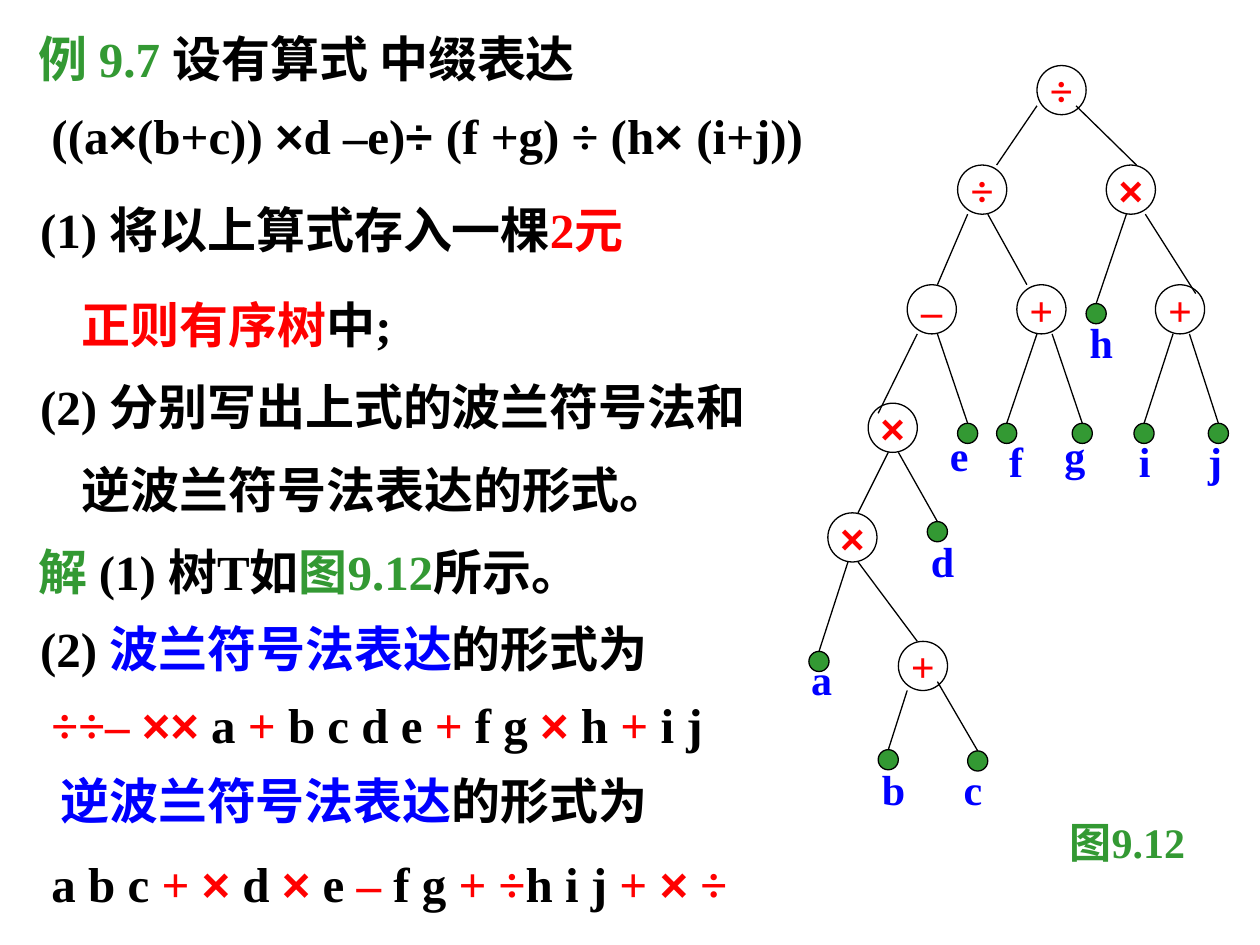
from lxml.etree import SubElement
from pptx import Presentation
from pptx.dml.color import RGBColor
from pptx.enum.shapes import MSO_CONNECTOR as Connector, MSO_SHAPE as Shape
from pptx.enum.text import MSO_ANCHOR as Anchor, MSO_AUTO_SIZE as AutoSize, PP_ALIGN as Align
from pptx.oxml.ns import qn
from pptx.util import Inches, Pt

BLACK = RGBColor(0x00, 0x00, 0x00)
RED = RGBColor(0xFF, 0x00, 0x00)
GREEN = RGBColor(0x33, 0x99, 0x33)
BLUE = RGBColor(0x00, 0x00, 0xFF)
SERIF = "Times New Roman"
SANS = "Arial"
NODE_SIZE = 0.39
LEAF_SIZE = 0.16

EXERCISE = [
    (0.09, 1.1, 0, [("例 9.7 ", GREEN), ("设有算式 中缀表达",)]),
    (0.19, 1.1, 7, [
        ("((a",), ("×", BLACK, SANS), ("(b+c)) ",), ("×", BLACK, SANS), ("d –e)",),
        ("÷ ", BLACK, SANS), ("(f +g) ÷ (h",), ("× ", BLACK, SANS), ("(i+j))",)]),
    (0.1, 1.4, 7, [("(1) 将以上算式存入一棵",), ("2元", RED)]),
    (0.43, 1.4, 7, [("正则有序树", RED), ("中;",)]),
    (0.1, 1.4, 0, [("(2) 分别写出上式的波兰符号法和",)]),
    (0.43, 1.4, 0, [("逆波兰符号法表达的形式。",)]),
    (0.09, 1.4, 0, [("解 ", GREEN), ("(1) 树T如",), ("图9.12", GREEN), ("所示。",)]),
    (0.1, 1.3, 0, [("(2) ",), ("波兰符号法表达", BLUE), ("的形式为",)]),
    (0.19, 1.3, 0, [
        ("÷÷– ", RED), ("××", RED, SANS), (" a ",), ("+", RED), (" b c d e ",),
        ("+", RED), (" f g ",), ("×", RED, SANS), (" h ",), ("+", RED), (" i j",)]),
    (0.26, 1.3, 0, [("逆波兰符号法表达", BLUE), ("的形式为",)]),
    (0.19, 1.4, 0, [
        ("a b c ",), ("+ ", RED), ("×", RED, SANS), (" d ",), ("×", RED, SANS),
        (" e ",), ("– ", RED), ("f g ",), ("+ ÷", RED), ("h i j ",), ("+ ", RED),
        ("×", RED, SANS), (" ÷", RED)]),
]

OPERATORS = [
    ("÷", 8.23, 0.52), ("÷", 7.6, 1.31), ("×", 8.78, 1.31),
    ("–", 7.2, 2.26), ("+", 8.07, 2.26), ("+", 9.17, 2.26),
    ("×", 6.89, 3.2), ("×", 6.57, 4.07), ("+", 7.13, 5.09),
]

BRANCHES = [
    ((8.23, 0.84), (7.91, 1.31)), ((8.54, 0.84), (9.02, 1.31)),
    ((7.68, 1.7), (7.44, 2.26)), ((7.84, 1.7), (8.15, 2.26)),
    ((9.09, 1.7), (9.49, 2.33)), ((7.28, 2.65), (6.97, 3.28)),
    ((7.05, 3.59), (6.81, 4.07)), ((6.81, 4.46), (7.28, 5.09)),
]

LEAVES = [
    ("a", (6.73, 4.46), (6.42, 5.17), (6.34, 5.14), 0.36),
    ("b", (7.2, 5.48), (6.97, 5.95), (6.9, 6.01), 0.38),
    ("c", (7.44, 5.41), (7.68, 5.96), (7.55, 6.01), 0.35),
    ("d", (7.13, 3.59), (7.36, 4.14), (7.29, 4.2), 0.38),
    ("e", (7.44, 2.65), (7.6, 3.36), (7.44, 3.36), 0.35),
    ("f", (8.23, 2.65), (7.91, 3.36), (7.91, 3.41), 0.31),
    ("g", (8.35, 2.65), (8.51, 3.36), (8.35, 3.36), 0.36),
    ("h", (8.94, 1.7), (8.62, 2.41), (8.55, 2.46), 0.38),
    ("i", (9.31, 2.65), (9.0, 3.36), (8.94, 3.41), 0.29),
    ("j", (9.44, 2.65), (9.59, 3.36), (9.49, 3.41), 0.31),
]


def write(paragraph, text, *, color=BLACK, font=SERIF, size=24):
    run = paragraph.add_run()
    run.text = text
    run.font.name = font
    run.font.size = Pt(size)
    run.font.bold = True
    run.font.color.rgb = color


class TreeSlide:
    def __init__(self, slide, line_color=BLACK, line_width=0.75, body_size=28):
        self.slide = slide
        self.line_color = line_color
        self.line_width = Pt(line_width)
        self.body_size = body_size

    def outline(self, line):
        line.color.rgb = self.line_color
        line.width = self.line_width

    def body(self, left, top, width, height, lines):
        frame = self.slide.shapes.add_textbox(
            Inches(left), Inches(top), Inches(width), Inches(height)).text_frame
        frame.word_wrap = True
        for index, (indent, spacing, before, pieces) in enumerate(lines):
            paragraph = frame.add_paragraph() if index else frame.paragraphs[0]
            paragraph.line_spacing = spacing
            paragraph.space_before = Pt(before)
            paragraph._p.get_or_add_pPr().set("marL", str(Inches(indent)))
            for text, *style in pieces:
                write(paragraph, text, size=self.body_size,
                      **dict(zip(("color", "font"), style)))

    def label(self, text, left, top, width, color, wrap=False):
        frame = self.slide.shapes.add_textbox(
            Inches(left), Inches(top), Inches(width), Inches(0.5)).text_frame
        frame.word_wrap = wrap
        frame.auto_size = AutoSize.SHAPE_TO_FIT_TEXT
        write(frame.paragraphs[0], text, color=color)

    def circle(self, left, top, size):
        circle = self.slide.shapes.add_shape(
            Shape.OVAL, Inches(left), Inches(top), Inches(size), Inches(size))
        circle.shadow.inherit = False
        self.outline(circle.line)
        return circle

    def operator(self, sign, left, top):
        node = self.circle(left, top, NODE_SIZE)
        node.fill.background()
        frame = node.text_frame
        frame.word_wrap = False
        frame.vertical_anchor = Anchor.MIDDLE
        frame.paragraphs[0].alignment = Align.CENTER
        write(frame.paragraphs[0], sign, color=RED, font=SANS if sign == "×" else SERIF)

    def branch(self, start, end):
        branch = self.slide.shapes.add_connector(
            Connector.STRAIGHT, *map(Inches, (*start, *end)))
        self.outline(branch.line)
        SubElement(branch._element.spPr, qn("a:effectLst"))

    def leaf(self, letter, start, dot_at, label_at, label_width):
        left, top = dot_at
        self.branch(start, (left + LEAF_SIZE / 2, top))
        dot = self.circle(left, top, LEAF_SIZE)
        dot.fill.solid()
        dot.fill.fore_color.rgb = GREEN
        self.label(letter, *label_at, label_width, BLUE)


def main():
    deck = Presentation()
    deck.slide_width = Inches(10)
    deck.slide_height = Inches(7.5)
    page = TreeSlide(deck.slides.add_slide(deck.slide_layouts[6]))
    page.body(0.12, 0.13, 6.65, 7.29, EXERCISE)
    for operator in OPERATORS:
        page.operator(*operator)
    for branch in BRANCHES:
        page.branch(*branch)
    for leaf in LEAVES:
        page.leaf(*leaf)
    page.label("图9.12", 8.39, 6.43, 1.26, GREEN, wrap=True)
    deck.save("out.pptx")


if __name__ == "__main__":
    main()
